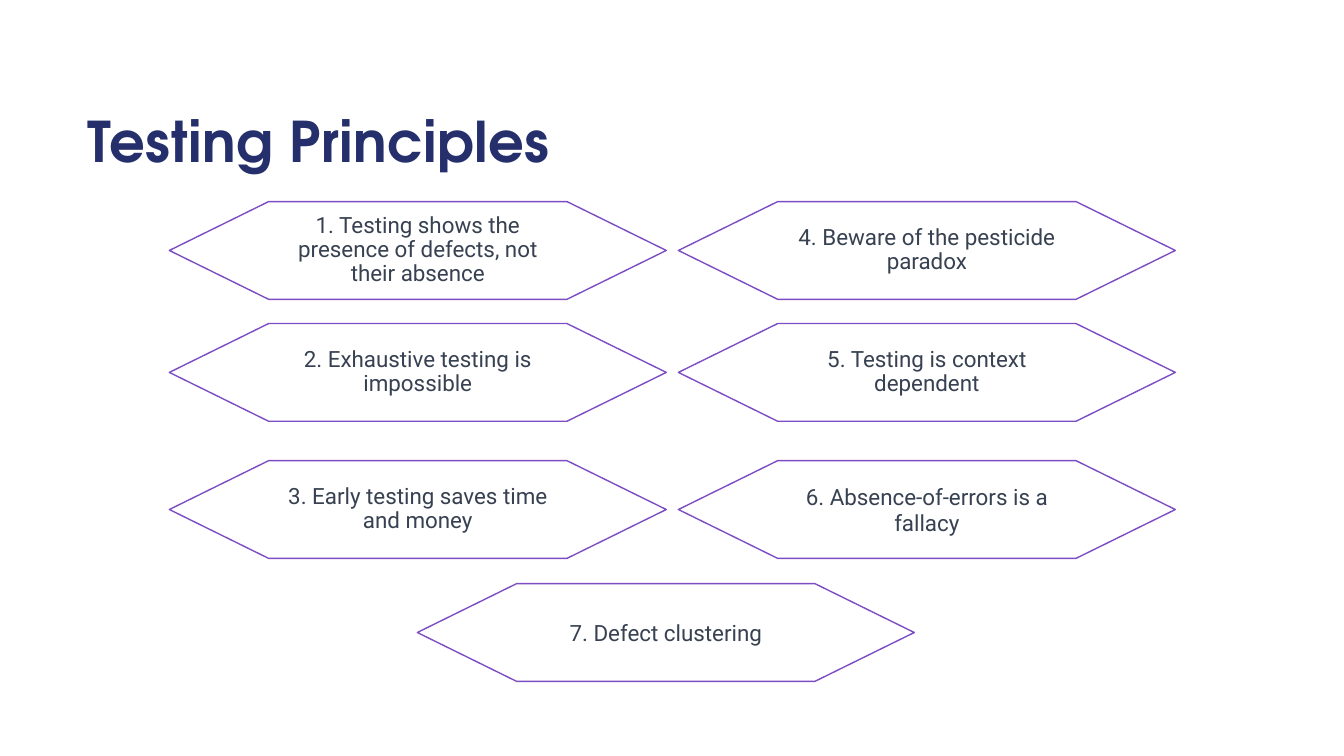
"""Build the slide that lists the seven testing principles."""
from pptx import Presentation
from pptx.dml.color import RGBColor
from pptx.enum.shapes import MSO_SHAPE as Preset
from pptx.enum.text import MSO_ANCHOR as Anchor, PP_ALIGN as Align
from pptx.util import Inches, Pt

NAVY = RGBColor(0x24, 0x2F, 0x6B)
SLATE = RGBColor(0x37, 0x41, 0x51)
PURPLE = RGBColor(0x7C, 0x4D, 0xC3)
WHITE = RGBColor(0xFF, 0xFF, 0xFF)

COLUMNS, ROWS = 40, 30
HEXAGON_SIZE = (14.79, 3.88)
LEFT, RIGHT, MIDDLE = 5.04, 20.19, 12.42
TOPS = (8, 12.84, 18.28, 23.16)

PRINCIPLES = [
    ("1. Testing shows the presence of defects, not their absence", LEFT, TOPS[0], 0.9),
    ("2. Exhaustive testing is impossible", LEFT, TOPS[1], 0.9),
    ("3. Early testing saves time and money", LEFT, TOPS[2], 0.9),
    ("4. Beware of the pesticide paradox", RIGHT, TOPS[0], 0.9),
    ("5. Testing is context dependent", RIGHT, TOPS[1], 0.9),
    ("6. Absence-of-errors is a fallacy", RIGHT, TOPS[2], 1.0),
    ("7. Defect clustering", MIDDLE, TOPS[3], 1.0),
]


def write(box, text, *, font, size, color, bold=False, align=Align.LEFT,
          anchor=Anchor.TOP, line_spacing=1.0, tracking=0):
    frame = box.text_frame
    frame.word_wrap = True
    frame.vertical_anchor = anchor
    para = frame.paragraphs[0]
    para.alignment = align
    para.line_spacing = line_spacing
    span = para.add_run()
    span.text = text
    span.font.name = font
    span.font.size = Pt(size)
    span.font.bold = bold
    span.font.color.rgb = color
    if tracking:
        span.font._element.set("spc", str(round(tracking * 100)))


class Painter:
    title_style = dict(font="TeX Gyre Adventor", size=40, color=NAVY,
                       bold=True, tracking=0.3)
    body_style = dict(font="Roboto", size=16, color=SLATE,
                      align=Align.CENTER, anchor=Anchor.MIDDLE)

    def __init__(self, deck):
        self.column = deck.slide_width / COLUMNS
        self.row = deck.slide_height / ROWS
        self.page = deck.slides.add_slide(deck.slide_layouts[6])

    def place(self, left, top, width, height):
        return (round(left * self.column), round(top * self.row),
                round(width * self.column), round(height * self.row))

    def title(self, text, *area):
        box = self.page.shapes.add_textbox(*self.place(*area))
        write(box, text, **self.title_style)

    def hexagon(self, text, left, top, line_spacing):
        area = self.place(left, top, *HEXAGON_SIZE)
        shape = self.page.shapes.add_shape(Preset.FLOWCHART_PREPARATION, *area)
        shape.shadow.inherit = False
        shape.fill.solid()
        shape.fill.fore_color.rgb = WHITE
        shape.line.color.rgb = PURPLE
        shape.line.width = Pt(1)
        write(shape, text, line_spacing=line_spacing, **self.body_style)


def main():
    deck = Presentation()
    deck.slide_width, deck.slide_height = Inches(13.33), Inches(7.5)
    painter = Painter(deck)
    painter.title("Testing Principles", 2.31, 4.04, 35.07, 6)
    for principle in PRINCIPLES:
        painter.hexagon(*principle)
    deck.save("out.pptx")


if __name__ == "__main__":
    main()
